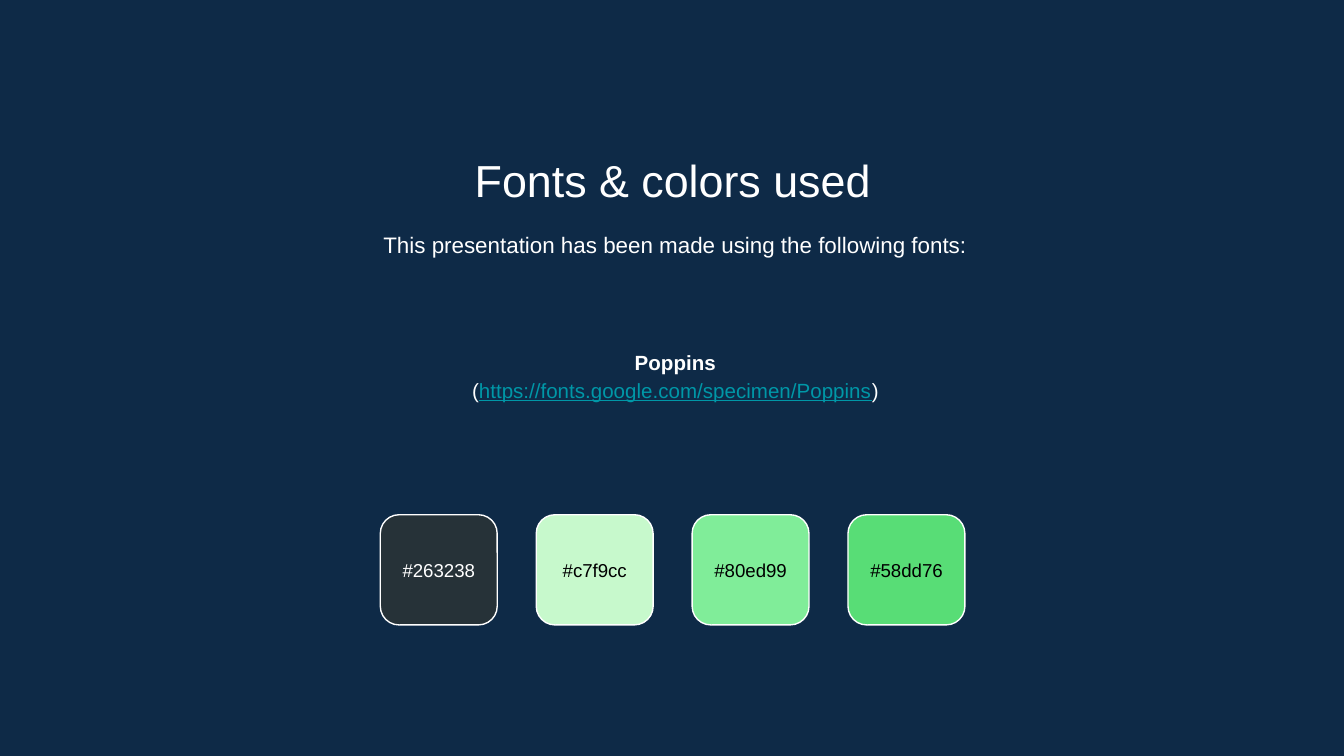
from typing import NamedTuple

from pptx import Presentation, util as u
from pptx.dml.color import RGBColor
from pptx.enum import shapes, text

WIDE = u.Inches(10)
HIGH = WIDE * 9 // 16
CELL = WIDE // 1000  # fine square grid, 1000 columns over the slide
NAVY, WHITE, BLACK, TEAL = "0E2A47", "FFFFFF", "000000", "0097A7"
TOP, MID = text.MSO_ANCHOR.TOP, text.MSO_ANCHOR.MIDDLE


class Box(NamedTuple):
    col: int
    row: int
    wide: int
    high: int

    def place(self) -> list[int]:
        return [n * CELL for n in self]


class Run(NamedTuple):
    words: str
    size: int
    ink: str = WHITE
    bold: bool = False
    line: bool = False


class Swatch(NamedTuple):
    fill: str
    ink: str


def color(code: str) -> RGBColor:
    return RGBColor.from_string(code.upper())


def add_text(slide, box: Box, paras: list[list[Run]], anchor=TOP, space: float = 1.0) -> None:
    frame = slide.shapes.add_textbox(*box.place()).text_frame
    frame.word_wrap = True
    frame.vertical_anchor = anchor
    frame.margin_left = frame.margin_right = 10 * CELL
    frame.margin_top = frame.margin_bottom = 10 * CELL
    for i, runs in enumerate(paras):
        para = frame.add_paragraph() if i else frame.paragraphs[0]
        para.alignment = text.PP_ALIGN.CENTER
        para.line_spacing = space
        for item in runs:
            run = para.add_run()
            run.text = item.words
            font = run.font
            font.name, font.size = "Arial", u.Pt(item.size)
            font.bold, font.underline = item.bold, item.line
            font.color.rgb = color(item.ink)


def add_swatch(slide, index: int, swatch: Swatch) -> None:
    col, wide = 283 + 116 * index, 87
    tile = slide.shapes.add_shape(
        shapes.MSO_SHAPE.ROUNDED_RECTANGLE, *Box(col, 383, wide, 82).place())
    tile.shadow.inherit = False
    tile.adjustments[0] = 0.17
    tile.fill.solid()
    tile.fill.fore_color.rgb = color(swatch.fill)
    tile.line.color.rgb = color(WHITE)
    tile.line.width = u.Pt(0.75)
    label = Run("#" + swatch.fill, 10, swatch.ink)
    add_text(slide, Box(col, 400, wide, 48), [[label]], MID)


def main() -> None:
    deck = Presentation()
    deck.slide_width, deck.slide_height = WIDE, HIGH
    slide = deck.slides.add_slide(deck.slide_layouts[6])
    slide.background.fill.solid()
    slide.background.fill.fore_color.rgb = color(NAVY)

    add_text(slide, Box(115, 104, 771, 53), [[Run("Fonts & colors used", 24)]])
    intro = Run("This presentation has been made using the following fonts:", 12)
    add_text(slide, Box(117, 159, 771, 48), [[intro]], space=1.15)
    link = Run("https://fonts.google.com/specimen/Poppins", 11, TEAL, line=True)
    add_text(slide, Box(117, 210, 771, 137), [
        [Run("Poppins", 11, bold=True)],
        [Run("(", 11), link, Run(")", 11)],
    ], MID, 1.15)

    swatches = [Swatch("263238", WHITE), Swatch("c7f9cc", BLACK),
                Swatch("80ed99", BLACK), Swatch("58dd76", BLACK)]
    for i, swatch in enumerate(swatches):
        add_swatch(slide, i, swatch)
    deck.save("out.pptx")


if __name__ == "__main__":
    main()
